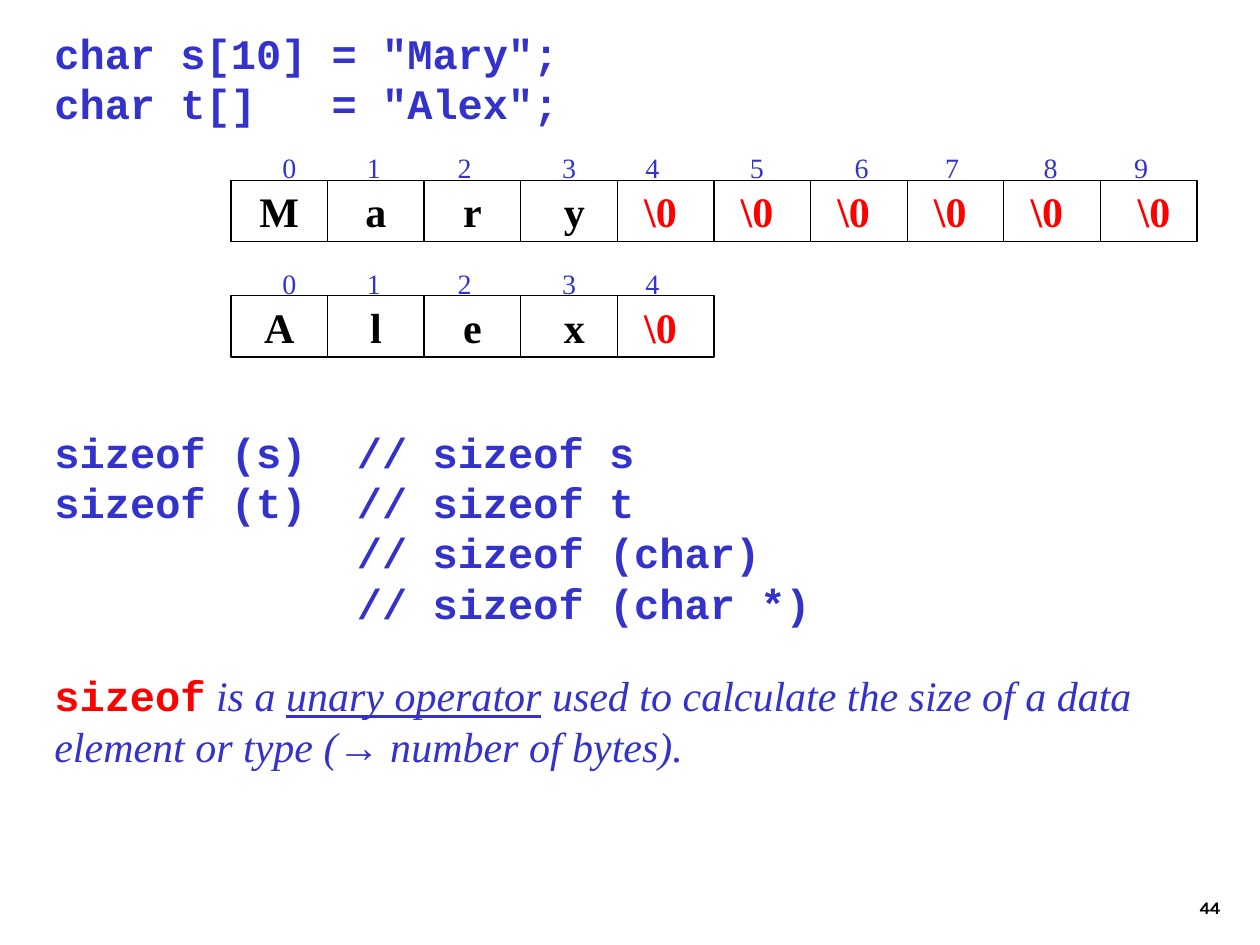
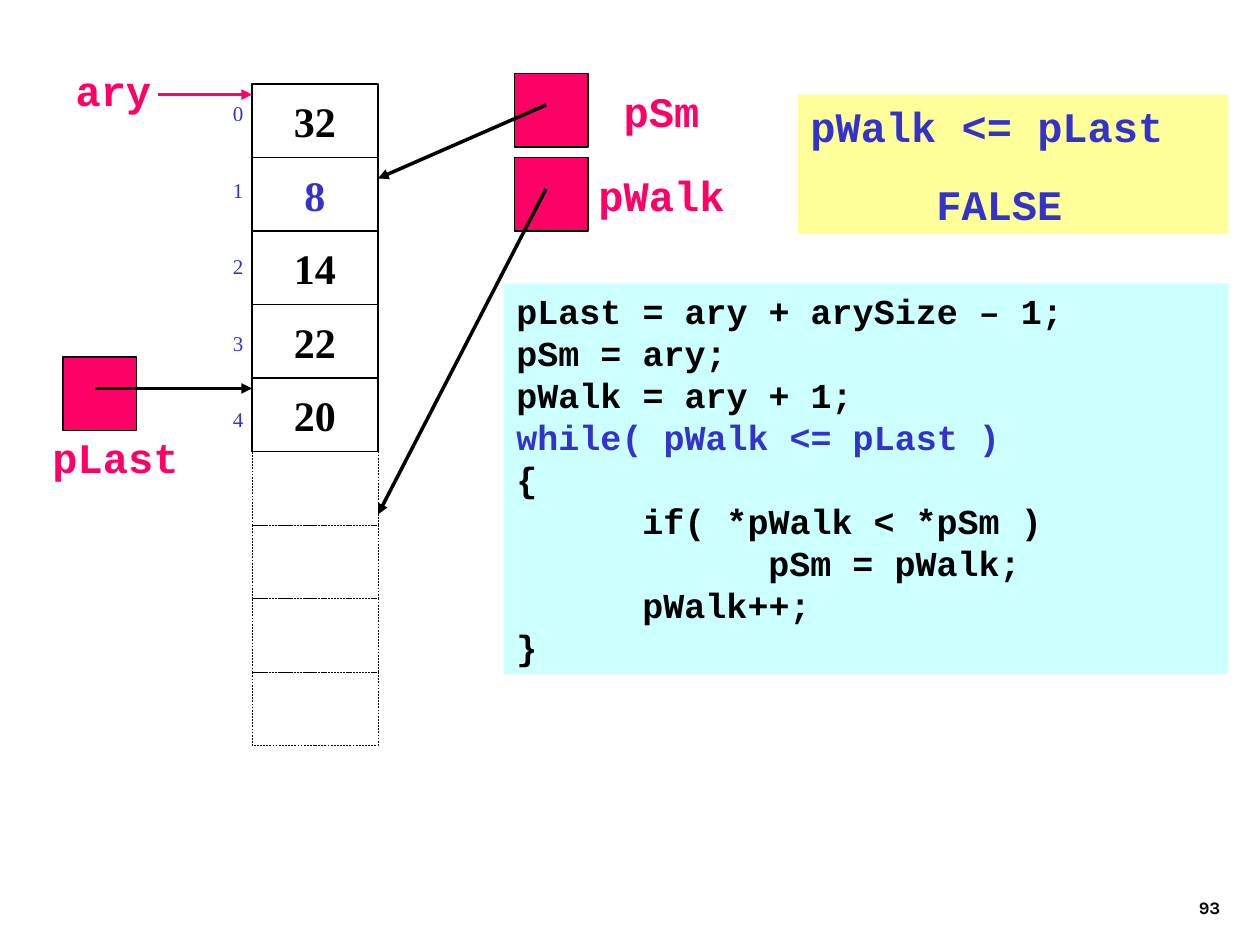
import pptx
import pptx.dml.color
import pptx.enum.dml
import pptx.enum.shapes
import pptx.enum.text
import pptx.oxml
import pptx.oxml.ns
import pptx.util

RGBColor = pptx.dml.color.RGBColor
BLACK = RGBColor(0x00, 0x00, 0x00)
BLUE = RGBColor(0x33, 0x33, 0xCC)
RED = RGBColor(0xFF, 0x00, 0x00)
PINK = RGBColor(0xFF, 0x00, 0x66)
CYAN = RGBColor(0xCC, 0xFF, 0xFF)
YELLOW = RGBColor(0xFF, 0xFF, 0x99)

CODE, SERIF, SANS, FOOTER = "Courier New", "Times New Roman", "Arial", "Karla"
ALIGN = pptx.enum.text.PP_ALIGN
ANCHOR = pptx.enum.text.MSO_ANCHOR
DASH = pptx.enum.dml.MSO_LINE.DASH
RECTANGLE = pptx.enum.shapes.MSO_SHAPE.RECTANGLE
NS = pptx.oxml.ns.nsdecls("a")

# The slide is a grid of 120 columns by 90 rows.
COLUMNS, ROWS = 120, 90
UNIT = pptx.util.Inches(10) / COLUMNS
CELL = 7  # side of a pointer box and height of a memory cell
INDEX_STOPS = [0.31, 0.98, 1.7, 2.53, 3.19, 4.02, 4.85, 5.57, 6.35, 7.07]
CODE_STOPS = [1, 2]


def grid(*lengths):
    return [round(n * UNIT) for n in lengths]


def write(sp, paragraphs, size=24, font=CODE, color=BLUE, bold=True,
          align=ALIGN.LEFT, anchor=ANCHOR.TOP, wrap=True, gap=0, stops=()):
    """Fill sp; a paragraph is a string or a list of (text, changes) runs."""
    tf = sp.text_frame
    tf.word_wrap = wrap
    tf.vertical_anchor = anchor
    for i, runs in enumerate(paragraphs):
        p = tf.paragraphs[0] if i == 0 else tf.add_paragraph()
        p.alignment = align
        if i and gap:
            p.space_before = pptx.util.Pt(gap)
        if stops:
            set_tabs(p, stops)
        if isinstance(runs, str):
            runs = [(runs, {})]
        for text, changes in runs:
            r = p.add_run()
            r.text = text
            look = {"name": font, "bold": bold, "color": color, **changes}
            r.font.size = pptx.util.Pt(size)
            r.font.color.rgb = look.pop("color")
            for name, value in look.items():
                setattr(r.font, name, value)


def set_tabs(p, stops):
    tabs = "".join(f'<a:tab pos="{pptx.util.Inches(x)}" algn="l"/>' for x in stops)
    p._p.get_or_add_pPr().append(
        pptx.oxml.parse_xml(f"<a:tabLst {NS}>{tabs}</a:tabLst>"))


def add_text(s, box, paragraphs, **style):
    write(s.shapes.add_textbox(*grid(*box)), paragraphs, **style)


def add_box(s, box, fill=None, line=None, width=0.75, dash=None):
    sp = s.shapes.add_shape(RECTANGLE, *grid(*box))
    sp.shadow.inherit = False
    if fill is None:
        sp.fill.background()
    else:
        sp.fill.solid()
        sp.fill.fore_color.rgb = fill
    if line is None:
        sp.line.fill.background()
    else:
        sp.line.color.rgb = line
        sp.line.width = pptx.util.Pt(width)
        if dash is not None:
            sp.line.dash_style = dash
    return sp


def add_label(s, center, top, text):
    width = 18
    add_text(s, (center - width / 2, top, width, CELL), [text], color=PINK,
             align=ALIGN.CENTER, anchor=ANCHOR.MIDDLE, wrap=False)


def add_cell(s, box, text, color=BLACK):
    write(add_box(s, box, line=BLACK), [text], font=SERIF, color=color,
          align=ALIGN.CENTER, anchor=ANCHOR.MIDDLE, wrap=False)


def add_arrow(s, start, end, color=BLACK):
    line = s.shapes.add_connector(pptx.enum.shapes.MSO_CONNECTOR.STRAIGHT,
                                  *grid(*start, *end))
    line.line.color.rgb = color
    line.line.width = pptx.util.Pt(2)
    line.line._get_or_add_ln().append(
        pptx.oxml.parse_xml(f'<a:tailEnd {NS} type="triangle"/>'))
    line._element.spPr.append(pptx.oxml.parse_xml(f"<a:effectLst {NS}/>"))


def add_string_cells(s, top, texts):
    """Draw a char array as a row of cells with its indexes above."""
    left, width, height = 22, 9.2, 5.83
    digits = "".join(f"\t{i}" for i in range(len(texts)))
    add_text(s, (left, top - 4.1, 10 * width, height), [digits], size=16,
             font=SERIF, bold=False, anchor=ANCHOR.MIDDLE,
             stops=INDEX_STOPS[:len(texts)])
    for i, text in enumerate(texts):
        add_cell(s, (left + i * width, top, width, height), text,
                 RED if "\\0" in text else BLACK)


def add_pointer(s, left, top, target):
    add_box(s, (left, top, CELL, CELL), PINK, BLACK)
    add_arrow(s, (left + 3, top + 3), target)


def add_slide(prs, number):
    s = prs.slides.add_slide(prs.slide_layouts[6])
    add_text(s, (92.4, 82, 25, 6), [number], size=10, font=FOOTER, color=BLACK,
             align=ALIGN.RIGHT, anchor=ANCHOR.BOTTOM)
    return s


def build_sizeof_slide(prs):
    s = add_slide(prs, "44")
    add_text(s, (4, 2, 89, 10.8), ['char s[10] = "Mary";', 'char t[]   = "Alex";'])
    add_string_cells(s, 17.17, ["M", "a", "r", " y"] + ["\\0 "] * 5 + [" \\0"])
    add_string_cells(s, 28.17, ["A", "l", "e", " x", "\\0 "])
    add_text(s, (4, 40, 93, 20.4), [
        "sizeof (s)  // sizeof s",
        "sizeof (t)  // sizeof t",
        "            // sizeof (char)",
        "            // sizeof (char *)",
    ])
    prose = {"name": SERIF, "bold": False, "italic": True}
    add_text(s, (4, 63.2, 114, 10.8), [[
        ("sizeof", {"color": RED}),
        (" is a ", prose),
        ("unary operator", {**prose, "underline": True}),
        (" used to calculate the size of a data element or type (", prose),
        ("→", {**prose, "name": SANS}),
        (" number of bytes).", prose),
    ]])


def build_smallest_slide(prs):
    s = add_slide(prs, "93")
    write(add_box(s, (48, 27, 69, 37.2), CYAN), [
        "pLast = ary + arySize – 1;",
        "pSm = ary;",
        "pWalk = ary + 1;",
        [("while( pWalk <= pLast )", {"color": BLUE})],
        "{",
        "\tif( *pWalk < *pSm )",
        "\t\tpSm = pWalk;",
        "\tpWalk++;",
        "}",
    ], size=20, color=BLACK, stops=CODE_STOPS)

    left, top, width = 24, 8, 12
    values = ["32", "8", "14", "22", "20"]
    for i, value in enumerate(values):
        add_cell(s, (left, top + i * CELL, width, CELL), value,
                 BLUE if value == "8" else BLACK)
    for i in range(len(values), len(values) + 4):
        add_box(s, (left, top + i * CELL, width, CELL), line=BLACK,
                width=0.25, dash=DASH)
    add_text(s, (21, 9, 5, 33), [str(i) for i in range(len(values))], size=12,
             font=SERIF, bold=False, gap=29.3)

    add_label(s, 10.8, 5, "ary")
    add_arrow(s, (15, 9), (left, 9), PINK)
    add_label(s, 11, 40, "pLast")
    add_pointer(s, 6, 34, (left, 37))
    for name, row, target_row in [("pSm", 7, 17), ("pWalk", 15, 49)]:
        add_label(s, 63, row, name)
        add_pointer(s, 49, row, (left + width, target_row))

    write(add_box(s, (76, 9, 41, 13.3), YELLOW),
          ["pWalk <= pLast", "\tFALSE"], gap=15.5, stops=CODE_STOPS)


def main():
    prs = pptx.Presentation()
    prs.slide_width, prs.slide_height = grid(COLUMNS, ROWS)
    build_sizeof_slide(prs)
    build_smallest_slide(prs)
    prs.save("out.pptx")


if __name__ == "__main__":
    main()
